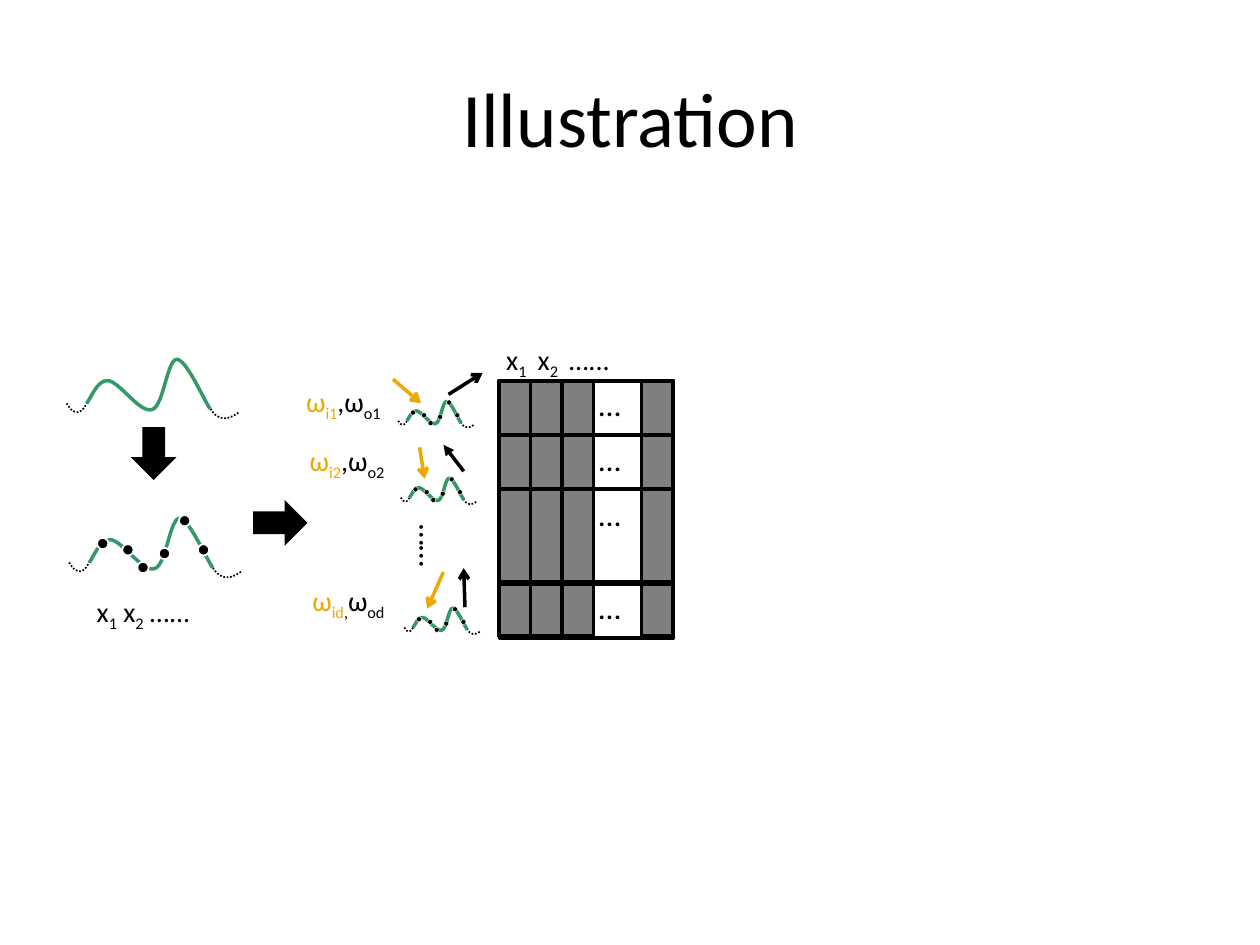
from lxml import etree
from pptx import Presentation
from pptx import util as u
from pptx.dml import color
from pptx.enum import dml, shapes, text
from pptx.oxml import ns

Pt = u.Pt
COLORS = {"black": "000000", "white": "FFFFFF", "green": "339966",
          "orange": "EEA804", "gray": "7F7F7F"}
RGB = {name: color.RGBColor.from_string(value) for name, value in COLORS.items()}

presentation = Presentation()
presentation.slide_width, presentation.slide_height = Pt(720), Pt(540)
slide = presentation.slides.add_slide(presentation.slide_layouts[5])


def add_text(content, left, top, width, height, size=16, margins=(7.2, 3.6),
             align=text.PP_ALIGN.LEFT, wrap=True, vertical=False):
    box = slide.shapes.add_textbox(Pt(left), Pt(top), Pt(width), Pt(height))
    frame = box.text_frame
    frame.word_wrap = wrap
    frame.margin_left = frame.margin_right = Pt(margins[0])
    frame.margin_top = frame.margin_bottom = Pt(margins[1])
    if vertical:
        frame._txBody.bodyPr.set("vert", "eaVert")
    paragraph = frame.paragraphs[0]
    paragraph.alignment = align
    for words, ink, subscript in content:
        run = paragraph.add_run()
        run.text = words
        run.font.size, run.font.name = Pt(size), "Calibri"
        run.font.color.rgb = RGB[ink]
        if subscript:
            run._r.get_or_add_rPr().set("baseline", "-25000")


def add_preset(kind, left, top, width, height, fill=None, line=None, weight=2):
    shape = slide.shapes.add_shape(kind, Pt(left), Pt(top), Pt(width), Pt(height))
    shape.shadow.inherit = False
    if fill:
        shape.fill.solid()
        shape.fill.fore_color.rgb = RGB[fill]
    else:
        shape.fill.background()
    if line:
        shape.line.color.rgb = RGB[line]
        shape.line.width = Pt(weight)
    else:
        shape.line.fill.background()
    return shape


title = slide.shapes.title
title.left, title.top, title.width, title.height = Pt(36), Pt(21.6), Pt(648), Pt(90)
title.text_frame.text = "Illustration"
title_paragraph = title.text_frame.paragraphs[0]
title_paragraph.alignment = text.PP_ALIGN.CENTER
title_paragraph.font.size, title_paragraph.font.name = Pt(44), "Calibri"
title_paragraph.font.color.rgb = RGB["black"]

PRESET = shapes.MSO_SHAPE
down_arrow = add_preset(PRESET.RIGHT_ARROW, 72.7, 246.2, 30.2, 26, fill="black")
down_arrow.rotation = 90
add_preset(PRESET.RIGHT_ARROW, 144.7, 285.8, 31, 26, fill="black")

full_curve = [(0, 0), (2, 3), (4, 6.5), (8, 4.5), (12, 2), (16.5, -13), (23, -13),
              (29.5, -13), (41.5, 6), (48.5, 3.5), (55.5, 1.5), (57.5, -26),
              (63.5, -25), (70, -24.5), (79, 1.5), (85, 6.5), (91, 11.5),
              (96.5, 6), (99, 5)]
middle_curve = [(11.5, 0), (13.5, -2), (17.5, -13.5), (23.5, -13), (30, -13),
                (42, 6), (49, 3.5), (55.5, 1.5), (57.5, -25), (63, -25.2),
                (68.5, -25.2), (78, -3), (82, 3)]
sample_points = [(19.2, -10.8), (33.6, -7.2), (42.2, 2.9), (54.5, -5.1),
                 (66, -23.8), (76.8, -7.2)]
curves = [(38, 230.5, 1, None), (39.5, 321.4, 1, 1), (227.5, 240.5, 0.44, 0.25),
          (229, 284.4, 0.44, 0.25), (231, 358.6, 0.44, 0.25)]

for left, base, scale, dot_outline in curves:
    for points, ink, weight in ((full_curve, "black", 1), (middle_curve, "green", 2)):
        start, *rest = [(Pt(left + scale * x), Pt(base + scale * y)) for x, y in points]
        builder = slide.shapes.build_freeform(*start)
        builder.add_line_segments(rest, close=False)
        curve = builder.convert_to_shape()
        segments = curve._element.findall(".//" + ns.qn("a:lnTo"))
        for first in range(0, len(segments), 3):
            bezier = etree.SubElement(segments[first].getparent(), ns.qn("a:cubicBezTo"))
            for segment in segments[first:first + 3]:
                bezier.append(segment[0])
                segment.getparent().remove(segment)
        curve.shadow.inherit = False
        curve.fill.background()
        curve.line.color.rgb = RGB[ink]
        curve.line.width = Pt(weight)
        if ink == "black":
            curve.line.dash_style = dml.MSO_LINE.ROUND_DOT
    if dot_outline:
        diameter = 6.5 * scale
        for x, y in sample_points:
            add_preset(PRESET.OVAL, left + scale * x - diameter / 2,
                       base + scale * y - diameter / 2, diameter, diameter,
                       fill="black", line="white", weight=dot_outline)

directions = [
    (224.6, 216.7, 240.5, 230.4, "orange", "arrow"),
    (256.3, 225.4, 275.8, 213.1, "black", "arrow"),
    (239.8, 255.6, 242.6, 273.6, "orange", "arrow"),
    (265, 269.3, 253.4, 254.2, "black", "triangle"),
    (253.4, 326.9, 244.1, 347.8, "orange", "arrow"),
    (265.7, 347, 265, 324.7, "black", "arrow"),
]
for x1, y1, x2, y2, ink, head in directions:
    arrow = slide.shapes.add_connector(shapes.MSO_CONNECTOR.STRAIGHT,
                                       Pt(x1), Pt(y1), Pt(x2), Pt(y2))
    arrow.line.color.rgb = RGB[ink]
    arrow.line.width = Pt(2)
    etree.SubElement(arrow.line._get_or_add_ln(), ns.qn("a:tailEnd"), type=head)
    etree.SubElement(arrow._element.spPr, ns.qn("a:effectLst"))

for left in (285.1, 303.1, 321.1, 366.5):
    add_preset(PRESET.RECTANGLE, left, 217.4, 18, 146.2, fill="gray", line="black")
rows = [(217.8, 31, 220.3), (248.4, 31, 251.3), (279.4, 53.3, 283), (333.7, 31, 336.2)]
for top, height, dots_top in rows:
    add_preset(PRESET.RECTANGLE, 285.5, top, 99.4, height, line="black")
    add_text([("…", "black", False)], 332.6, dots_top, 31.7, 36, size=18,
             margins=(0, 0), align=text.PP_ALIGN.CENTER)

for index, left in (("1", 282.2), ("2", 300.2)):
    add_text([("x", "black", False), (index, "black", True)],
             left, 192.2, 25.9, 29.5, wrap=False)
add_text([("…...", "black", False)], 318.2, 192.2, 37.4, 26.6, wrap=False)
add_text([("x", "black", False), ("1", "black", True), (" x", "black", False),
          ("2", "black", True), (" …...", "black", False)], 48.2, 336.2, 112.3, 51.1)
add_text([("……", "black", False)], 225.4, 292.3, 36, 44.6, size=18,
         margins=(3.6, 7.2), vertical=True)

for index, left, top in (("1", 167.8, 216), ("2", 169.9, 249.8), ("d", 171.4, 329.8)):
    comma_lowered = index == "d"
    add_text([("ω", "orange", False), ("i" + index, "orange", True),
              (",", "black", comma_lowered), ("ω", "black", False),
              ("o" + index, "black", True)], left, top, 66.2, 29.5)

presentation.save("out.pptx")
